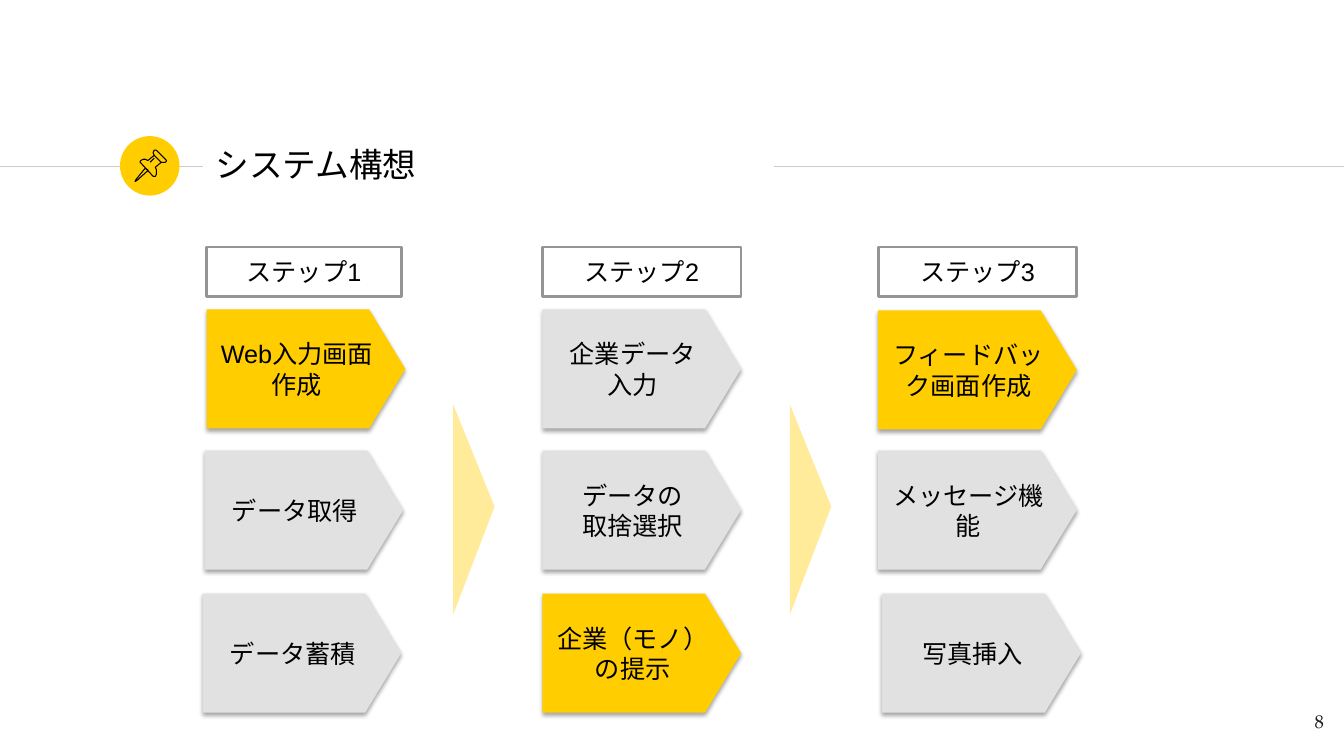
import pptx
import pptx.dml.color
import pptx.enum.shapes
import pptx.enum.text
import pptx.oxml
import pptx.oxml.ns
import pptx.util

inch, point = pptx.util.Inches, pptx.util.Pt
kinds = pptx.enum.shapes.MSO_SHAPE
sides = pptx.enum.text.PP_ALIGN
middle = pptx.enum.text.MSO_ANCHOR.MIDDLE

theme = {
    "gold": "FFCD00", "pale": "FFEB99", "grey": "E2E1E1", "white": "FFFFFF",
    "edge": "979593", "rule": "CCCCCC", "black": "000000", "ink": "1D1D1B",
    "font": "Arial", "serif": "TeX Gyre Pagella",
    "title": 24, "body": 18, "small": 13.3,
}
SPACE = 'xmlns:a="http://schemas.openxmlformats.org/drawingml/2006/main"'
SHADE = (f'<a:effectLst {SPACE}><a:outerShdw blurRad="39370" dist="22860" '
         'dir="5400000" rotWithShape="0"><a:srgbClr val="000000">'
         '<a:alpha val="35000"/></a:srgbClr></a:outerShdw></a:effectLst>')


def write(shape, lines, size, align, color="black", font="font"):
    frame = shape.text_frame
    frame.word_wrap = True
    for i, line in enumerate(lines):
        para = frame.add_paragraph() if i else frame.paragraphs[0]
        para.alignment = align
        run = para.add_run()
        run.text = line
        run.font.size = point(theme[size])
        run.font.name = theme[font]
        run.font.color.rgb = pptx.dml.color.RGBColor.from_string(theme[color])
    return frame


def block(kind, left, top, width, height, fill):
    shape = slide.shapes.add_shape(
        kind, inch(left), inch(top), inch(width), inch(height))
    shape.shadow.inherit = False
    shape.fill.solid()
    shape.fill.fore_color.rgb = pptx.dml.color.RGBColor.from_string(theme[fill])
    shape.line.fill.background()
    return shape


deck = pptx.Presentation()
deck.slide_width, deck.slide_height = inch(13.33), inch(7.5)
slide = deck.slides.add_slide(deck.slide_layouts[5])

# Title between two rules
for start, end in ((0, 2.01), (7.68, 13.33)):
    rule = slide.shapes.add_connector(
        pptx.enum.shapes.MSO_CONNECTOR.STRAIGHT,
        inch(start), inch(1.65), inch(end), inch(1.65))
    rule.line.color.rgb = pptx.dml.color.RGBColor.from_string(theme["rule"])
    rule.line.width = point(0.75)
    rule._element.spPr.append(pptx.oxml.parse_xml(f"<a:effectLst {SPACE}/>"))

title = slide.shapes.title
title.left, title.top = inch(2.01), inch(1.31)
title.width, title.height = inch(5.66), inch(0.64)
frame = write(title, ["システム構想"], "title", sides.LEFT)
frame.vertical_anchor = middle
frame.margin_left = frame.margin_right = inch(0.13)
frame.margin_top = frame.margin_bottom = inch(0.13)

# Pin on a disc, outlines in hundredths of an inch
block(kinds.OVAL, 1.19, 1.35, 0.59, 0.59, "gold")
handle = [(144, 167), (135, 178), (134, 180), (136, 179), (147, 169)]
cap = [(153, 154), (160, 161), (162, 161), (164, 161), (165, 160), (165, 159),
       (155, 149), (154, 149), (153, 149), (152, 151), (152, 152)]
body = [(153, 154), (147, 159), (146, 159), (144, 158), (142, 158), (140, 159),
        (139, 160), (139, 161), (152, 175), (153, 175), (154, 175), (155, 173),
        (155, 168), (154, 166), (160, 161)]
slit = [(149, 161), (153, 157)]
for dots, close in ((handle, True), (cap, True), (body, False), (slit, False)):
    pen = slide.shapes.build_freeform(*dots[0], scale=inch(0.01))
    pen.add_line_segments(dots[1:], close=close)
    part = pen.convert_to_shape()
    part.shadow.inherit = False
    part.fill.background()
    part.line.color.rgb = pptx.dml.color.RGBColor.from_string(theme["black"])
    part.line.width = point(0.75)

# Steps: label, label width, then left edge, top edge, fill and lines per stage
steps = [
    ("ステップ1", 1.93, [
        (2.05, 3.07, "gold", ["Web入力画面作成"]),
        (2.03, 4.47, "grey", ["データ取得"]),
        (2.01, 5.89, "grey", ["データ蓄積"])]),
    ("ステップ2", 1.97, [
        (5.38, 3.07, "grey", ["企業データ", "入力"]),
        (5.38, 4.47, "grey", ["データの", "取捨選択"]),
        (5.38, 5.89, "gold", ["企業（モノ）", "の提示"])]),
    ("ステップ3", 1.97, [
        (8.71, 3.08, "gold", ["フィードバック画面作成"]),
        (8.71, 4.47, "grey", ["メッセージ機能"]),
        (8.75, 5.89, "grey", ["写真挿入"])]),
]
for col, (label, width, stages) in enumerate(steps):
    head = block(kinds.RECTANGLE, 2.05 + 3.33 * col, 2.45, width, 0.49, "white")
    head.line.color.rgb = pptx.dml.color.RGBColor.from_string(theme["edge"])
    head.line.width = point(2)
    write(head, [label], "body", sides.CENTER).vertical_anchor = middle
    for left, top, fill, lines in stages:
        stage = block(kinds.PENTAGON, left, top, 1.97, 1.18, fill)
        stage.adjustments[0] = 0.303
        props = stage._element.spPr
        props.remove(props.find(pptx.oxml.ns.qn("a:effectLst")))
        props.append(pptx.oxml.parse_xml(SHADE))
        write(stage, lines, "body", sides.CENTER).vertical_anchor = middle

# Wedges pointing to the next step
for left in (3.66, 7):
    wedge = block(kinds.ISOSCELES_TRIANGLE, left, 4.85, 2.08, 0.41, "pale")
    wedge.adjustments[0] = 0.486
    wedge.rotation = 90

# Page number
page = slide.shapes.add_textbox(inch(12.46), inch(6.93), inch(0.8), inch(0.57))
frame = write(page, ["8"], "small", sides.RIGHT, "ink", "serif")
frame.margin_left = frame.margin_right = inch(0.13)
frame.margin_top = frame.margin_bottom = inch(0.13)

deck.save("out.pptx")
